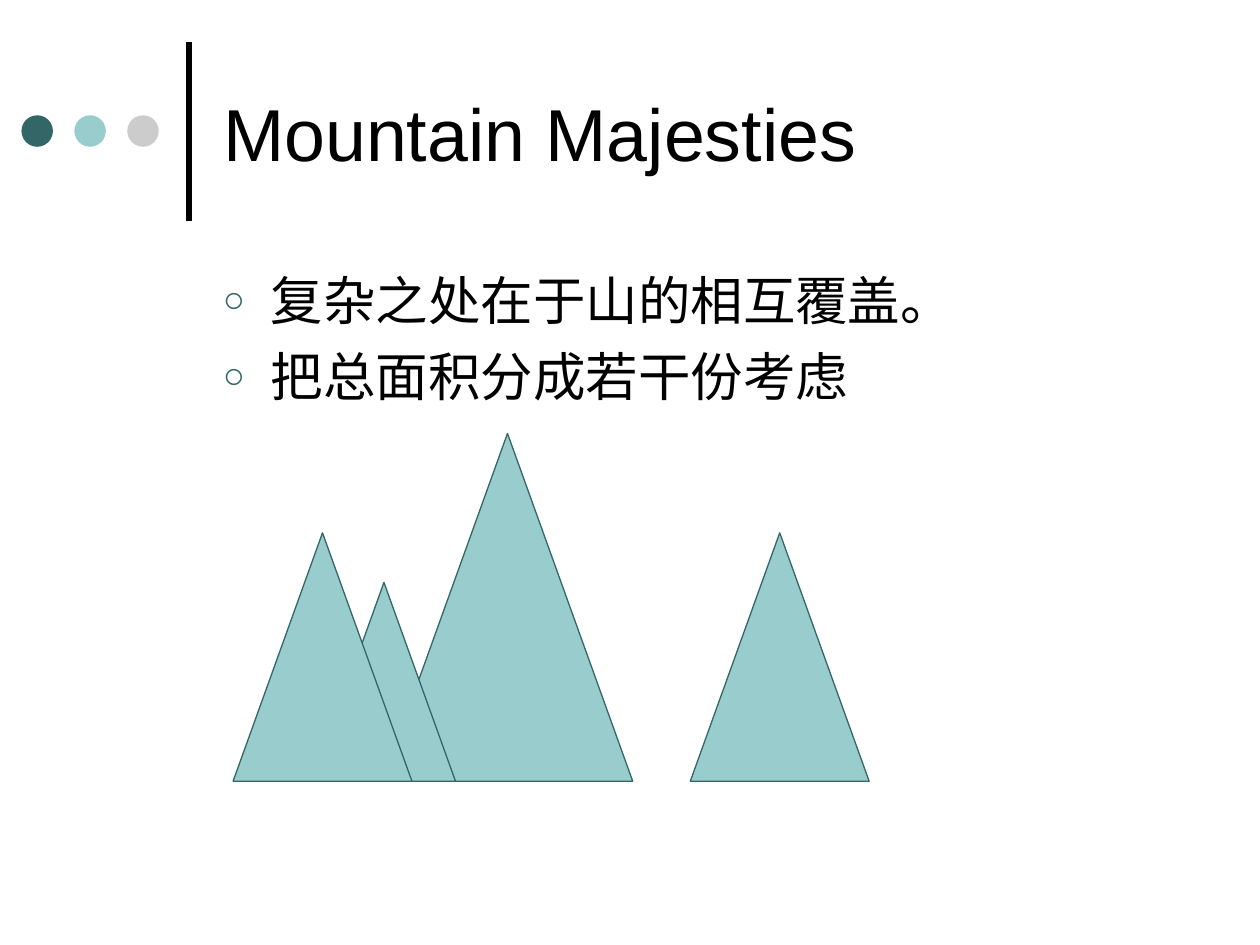
from collections import namedtuple
from dataclasses import dataclass

import pptx
import pptx.dml.color
import pptx.enum.shapes
import pptx.enum.text
import pptx.oxml
import pptx.oxml.ns
import pptx.util

Box = namedtuple("Box", "left top width height")
Inches, Pt = pptx.util.Inches, pptx.util.Pt
MSO_SHAPE = pptx.enum.shapes.MSO_SHAPE


@dataclass(frozen=True)
class Theme:
    font: str = "Arial"
    title_size: float = 42
    body_size: float = 30
    text: str = "000000"
    dark: str = "336666"
    light: str = "99CCCC"
    grey: str = "CCCCCC"
    rule_width: float = 3
    outline_width: float = 0.75


THEME = Theme()
WIDTH, HEIGHT = 10, 7.5
TITLE_BOX = Box(1.67, 0.21, 7.67, 1.67)
BODY_BOX = Box(1.67, 2.08, 7.67, 4.5)
ORNAMENT_BOX = Box(0.17, 0.33, 1.33, 1.42)
RANGE_BOX = Box(1.85, 3.44, 5.04, 2.76)

POINTS = ["复杂之处在于山的相互覆盖。", "把总面积分成若干份考虑"]

# Each mountain, back to front: left edge as a share of the range, height in rows
MOUNTAINS = [(0.72, 5), (0.235, 7), (0.125, 4), (0, 5)]
RANGE_ROWS = 7
WIDTH_TO_HEIGHT = 0.72


def rgb(value):
    return pptx.dml.color.RGBColor.from_string(value)


def emu(box):
    return [Inches(length) for length in box]


def add_filled(s, kind, box, fill, line=None):
    sp = s.shapes.add_shape(kind, *emu(box))
    sp.shadow.inherit = False
    sp.fill.solid()
    sp.fill.fore_color.rgb = rgb(fill)
    if line:
        sp.line.color.rgb = rgb(line)
        sp.line.width = Pt(THEME.outline_width)
    else:
        sp.line.fill.background()


def format_text(tf, size):
    tf.word_wrap = True
    tf.auto_size = pptx.enum.text.MSO_AUTO_SIZE.NONE
    for p in tf.paragraphs:
        p.alignment = pptx.enum.text.PP_ALIGN.LEFT
        for r in p.runs:
            r.font.name = THEME.font
            r.font.size = Pt(size)
            r.font.color.rgb = rgb(THEME.text)


def add_bullet(p):
    """Give the paragraph a hanging ring bullet."""
    pPr = p._p.get_or_add_pPr()
    pPr.set("marL", str(Inches(0.38)))
    pPr.set("indent", str(-Inches(0.38)))
    ns = pptx.oxml.ns.nsdecls("a")
    for xml in (
        f'<a:buClr {ns}><a:srgbClr val="{THEME.dark}"/></a:buClr>',
        f'<a:buSzPct {ns} val="70000"/>',
        f'<a:buFont {ns} typeface="{THEME.font}"/>',
        f'<a:buChar {ns} char="○"/>',
    ):
        pPr.append(pptx.oxml.parse_xml(xml))


def add_ornament(s, box):
    """Place three dots, centred on the vertical rule at the box's right side."""
    size, pitch = 0.25, 0.42
    right, bottom = box.left + box.width, box.top + box.height
    rule = s.shapes.add_connector(
        pptx.enum.shapes.MSO_CONNECTOR.STRAIGHT,
        *emu((right, bottom, right, box.top)))
    rule.line.color.rgb = rgb(THEME.text)
    rule.line.width = Pt(THEME.rule_width)
    rule._element.spPr.append(pptx.oxml.parse_xml(
        f'<a:effectLst {pptx.oxml.ns.nsdecls("a")}/>'))
    top = box.top + (box.height - size) / 2
    for i, color in enumerate((THEME.dark, THEME.light, THEME.grey)):
        dot = Box(box.left + i * pitch, top, size, size)
        add_filled(s, MSO_SHAPE.OVAL, dot, color)


def add_title(s, box, text):
    sp = s.shapes.title
    sp.left, sp.top, sp.width, sp.height = emu(box)
    tf = sp.text_frame
    tf.text = text
    tf.vertical_anchor = pptx.enum.text.MSO_ANCHOR.MIDDLE
    format_text(tf, THEME.title_size)


def add_body(s, box, points):
    tf = s.shapes.add_textbox(*emu(box)).text_frame
    tf.text = "\n".join(points)
    format_text(tf, THEME.body_size)
    for p in tf.paragraphs:
        p.space_before = Pt(7.5)
        add_bullet(p)


def add_mountains(s, box):
    """Stand similar triangles on the bottom of the box."""
    row = box.height / RANGE_ROWS
    for share, rows in MOUNTAINS:
        height = rows * row
        mountain = Box(box.left + share * box.width,
                       box.top + box.height - height,
                       height * WIDTH_TO_HEIGHT, height)
        add_filled(s, MSO_SHAPE.ISOSCELES_TRIANGLE, mountain,
                   THEME.light, THEME.dark)


def main():
    prs = pptx.Presentation()
    prs.slide_width, prs.slide_height = Inches(WIDTH), Inches(HEIGHT)
    s = prs.slides.add_slide(prs.slide_layouts.get_by_name("Title Only"))
    add_ornament(s, ORNAMENT_BOX)
    add_title(s, TITLE_BOX, "Mountain Majesties")
    add_body(s, BODY_BOX, POINTS)
    add_mountains(s, RANGE_BOX)
    prs.save("out.pptx")


if __name__ == "__main__":
    main()
